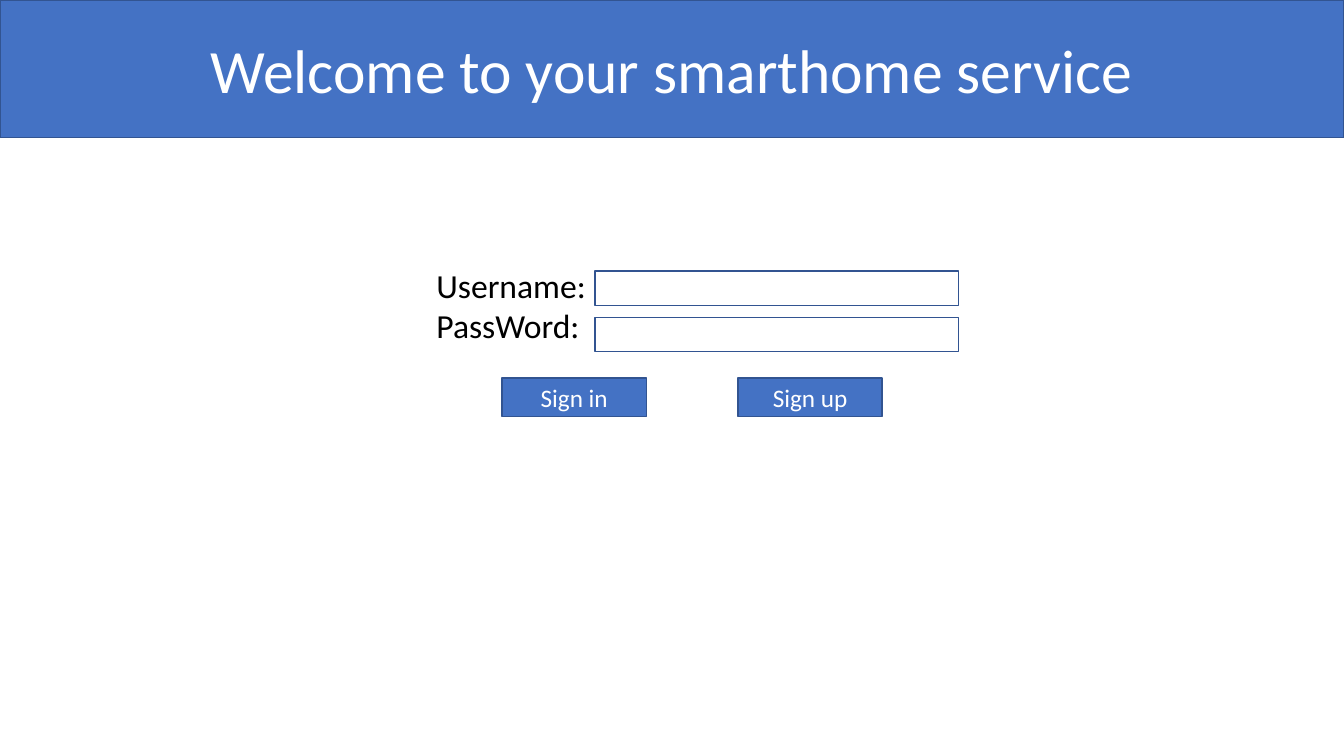
from pptx import Presentation, util as u
from pptx.dml.color import RGBColor
from pptx.enum import shapes, text

BLUE = RGBColor(0x44, 0x72, 0xC4)
NAVY = RGBColor(0x32, 0x54, 0x91)
WHITE = RGBColor(0xFF, 0xFF, 0xFF)
BLACK = RGBColor(0, 0, 0)

deck = Presentation()
deck.slide_width = u.Inches(13.33)
deck.slide_height = u.Inches(7.5)
COLUMN = deck.slide_width / 100
ROW = deck.slide_height / 100


def grid(left, top, width, height):
    return [round(n * unit) for n, unit in
            zip((left, top, width, height), (COLUMN, ROW, COLUMN, ROW))]


def write(holder, wording, size=18, color=WHITE,
          align=text.PP_ALIGN.CENTER, anchor=text.MSO_ANCHOR.MIDDLE):
    frame = holder.text_frame
    frame.word_wrap = True
    frame.auto_size = text.MSO_AUTO_SIZE.NONE
    frame.vertical_anchor = anchor
    frame.text = wording
    for line in frame.paragraphs:
        line.alignment = align
        line.font.name = "Calibri"
        line.font.size = u.Pt(size)
        line.font.color.rgb = color


def paint(panel, fill):
    panel.fill.solid()
    panel.fill.fore_color.rgb = fill
    panel.line.color.rgb = NAVY
    panel.line.width = u.Pt(1)


def add_panel(slide, box, fill):
    panel = slide.shapes.add_shape(shapes.MSO_SHAPE.RECTANGLE, *grid(*box))
    panel.shadow.inherit = False
    paint(panel, fill)
    return panel


def add_banner(slide, box):
    banner = slide.shapes.title
    banner.left, banner.top, banner.width, banner.height = grid(*box)
    paint(banner, BLUE)
    write(banner, "Welcome to your smarthome service", size=44)


def add_credentials(slide, box):
    left, top, width, height = box
    labels = slide.shapes.add_textbox(*grid(left, top, 14.63, height))
    write(labels, "Username:\nPassWord:".replace("Password", "PassWord"),
          size=24, color=BLACK, align=text.PP_ALIGN.LEFT,
          anchor=text.MSO_ANCHOR.TOP)
    field_width = 27.08
    for entry in range(2):
        add_panel(slide, (left + width - field_width, top + 1.47 + entry * 6.13,
                          field_width, 4.53), WHITE)


def add_actions(slide, box):
    left, top, width, height = box
    button_width = 10.73
    step = width - button_width
    for place, action in enumerate(("Sign in", "Sign up")):
        button = add_panel(slide, (left + place * step, top,
                                   button_width, height), BLUE)
        write(button, action)


welcome = deck.slides.add_slide(deck.slide_layouts[5])
add_banner(welcome, (0, 0, 100, 18.2))
add_credentials(welcome, (31.73, 34.4, 39.61, 12.13))
add_actions(welcome, (37.36, 50, 28.28, 5.13))
deck.save("out.pptx")
